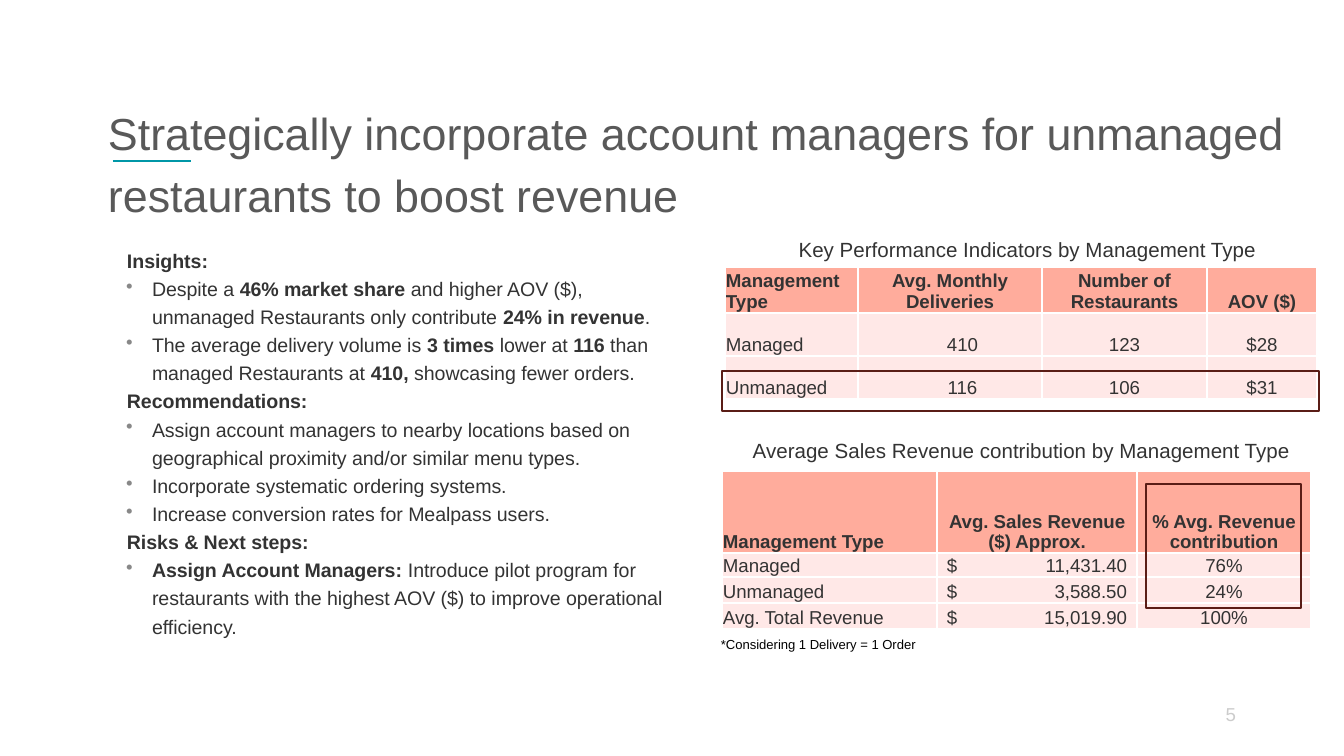
from pptx import Presentation
from pptx.dml.color import RGBColor
from pptx.enum.shapes import MSO_CONNECTOR as Connector, MSO_SHAPE as Shape
from pptx.enum.text import MSO_ANCHOR as Anchor, PP_ALIGN as Align
from pptx.oxml.ns import qn
from pptx.util import Pt
from lxml.etree import SubElement, Element

SCALE = 914400 / 134.4


def px(length):
    """Turn whole px into EMU."""
    return round(length * SCALE)


def color(value):
    """Turn a hex string into a colour."""
    return RGBColor.from_string(value)


class SlideBuilder:
    """Hold the style and the current slide, and draw each kind of element."""

    FONT = "Arial"
    INK = "333333"
    HEADER = "FFAC9C"
    BODY = "FFE8E7"
    FRAME = "5A1D16"
    BULLET = "888888"

    def __init__(self, slide):
        """Keep the slide to draw on."""
        self.slide = slide

    def add_runs(self, paragraph, text, size, ink=INK, bold=False):
        """Add runs, switching bold at each double asterisk."""
        for index, part in enumerate(text.split("**")):
            if part:
                run = paragraph.add_run()
                run.text = part
                run.font.name = self.FONT
                run.font.size = Pt(size)
                run.font.bold = bold or index % 2 == 1
                run.font.color.rgb = color(ink)

    def frame(self, box, inset_x, inset_y):
        """Add an empty wrapping text box and return its text frame."""
        frame = self.slide.shapes.add_textbox(*map(px, box)).text_frame
        frame.word_wrap = True
        frame.margin_left = frame.margin_right = px(inset_x)
        frame.margin_top = frame.margin_bottom = px(inset_y)
        return frame

    def text(self, box, text, size, ink=INK, align=Align.LEFT, anchor=Anchor.TOP,
             spacing=1.0, inset_y=7):
        """Add a one-paragraph text box."""
        frame = self.frame(box, 13, inset_y)
        frame.vertical_anchor = anchor
        paragraph = frame.paragraphs[0]
        paragraph.alignment = align
        paragraph.line_spacing = spacing
        self.add_runs(paragraph, text, size, ink)

    def outline(self, box, sections, size):
        """Add bold headings, each followed by its bulleted points."""
        frame = self.frame(box, 13, 13)
        lines = [(line, level) for heading, points in sections
                 for line, level in [(heading, 0)] + [(point, 1) for point in points]]
        for index, (line, level) in enumerate(lines):
            paragraph = frame.add_paragraph() if index else frame.paragraphs[0]
            paragraph.line_spacing = 1.2
            properties = paragraph._p.get_or_add_pPr()
            properties.set("marL", str(px(44 if level else 19)))
            properties.set("indent", str(px(-26 if level else 0)))
            if level:
                bullet_color = SubElement(properties, qn("a:buClr"))
                SubElement(bullet_color, qn("a:srgbClr"), val=self.BULLET)
                SubElement(properties, qn("a:buChar"), char="•")
            self.add_runs(paragraph, line, size, bold=not level)

    def line(self, start, end, ink, width):
        """Add a straight line."""
        line = self.slide.shapes.add_connector(
            Connector.STRAIGHT, *map(px, start + end))
        line.line.color.rgb = color(ink)
        line.line.width = Pt(width)
        SubElement(line._element.spPr, qn("a:effectLst"))

    def highlight(self, box):
        """Add an unfilled rectangle around key figures."""
        rectangle = self.slide.shapes.add_shape(Shape.RECTANGLE, *map(px, box))
        rectangle.shadow.inherit = False
        rectangle.fill.background()
        rectangle.line.color.rgb = color(self.FRAME)
        rectangle.line.width = Pt(1.25)

    def border(self, cell):
        """Give a cell thin white borders."""
        properties = cell._tc.get_or_add_tcPr()
        for index, side in enumerate(("lnL", "lnR", "lnT", "lnB")):
            edge = Element(qn(f"a:{side}"), w=str(Pt(1)))
            fill = SubElement(edge, qn("a:solidFill"))
            SubElement(fill, qn("a:srgbClr"), val="FFFFFF")
            properties.insert(index, edge)

    def table(self, corner, widths, heights, rows, second_inset):
        """Add a table with a header row and an inset second column."""
        size = (sum(widths), sum(heights))
        table = self.slide.shapes.add_table(
            len(rows), len(widths), *map(px, corner + size)).table
        for column, width in zip(table.columns, widths):
            column.width = px(width)
        for row, height in zip(table.rows, heights):
            row.height = px(height)
        for r, values in enumerate(rows):
            for c, value in enumerate(values):
                cell = table.cell(r, c)
                cell.fill.solid()
                cell.fill.fore_color.rgb = color(self.BODY if r else self.HEADER)
                self.border(cell)
                cell.vertical_anchor = Anchor.BOTTOM
                cell.margin_left = px(second_inset if r and c == 1 else 1)
                cell.margin_right = cell.margin_top = px(1)
                cell.margin_bottom = 0
                paragraph = cell.text_frame.paragraphs[0]
                paragraph.alignment = Align.CENTER if c else Align.LEFT
                if "\t" in value:
                    paragraph.alignment = Align.LEFT
                    stops = SubElement(paragraph._p.get_or_add_pPr(), qn("a:tabLst"))
                    SubElement(stops, qn("a:tab"), pos=str(px(180)), algn="r")
                self.add_runs(paragraph, value, 10, bold=r == 0)


SECTIONS = [
    ("Insights:", [
        "Despite a **46% market share** and higher AOV ($), unmanaged Restaurants "
        "only contribute **24% in revenue**.",
        "The average delivery volume is **3 times **lower at **116** than managed "
        "Restaurants at **410,** showcasing fewer orders."]),
    ("Recommendations:", [
        "Assign account managers to nearby locations based on geographical "
        "proximity and/or similar menu types.",
        "Incorporate systematic ordering systems.",
        "Increase conversion rates for Mealpass users."]),
    ("Risks & Next steps:", [
        "**Assign Account Managers:** Introduce pilot program for restaurants with "
        "the highest AOV ($) to improve operational efficiency."]),
]
INDICATORS = [
    ("Management Type", "Avg. Monthly Deliveries", "Number of Restaurants", "AOV ($)"),
    ("Managed", "410", "123", "$28"),
    ("Unmanaged", "116", "106", "$31"),
]
REVENUE = [
    ("Management Type", "Avg. Sales Revenue ($) Approx.", "% Avg. Revenue contribution"),
    ("Managed", "$\t11,431.40", "76%"),
    ("Unmanaged", "$\t3,588.50", "24%"),
    ("Avg. Total Revenue", "$\t15,019.90", "100%"),
]


def main():
    """Build and save the slide."""
    deck = Presentation()
    deck.slide_width, deck.slide_height = px(1344), px(756)
    page = SlideBuilder(deck.slides.add_slide(deck.slide_layouts[6]))

    page.text((1168, 685, 81, 58), "5", 10, "CCCCCC", Align.RIGHT, Anchor.MIDDLE,
              inset_y=13)
    page.line((113, 161), (191, 161), "0097A7", 1.5)
    page.text((95, 85, 1223, 77), "Strategically incorporate account managers for "
              "unmanaged restaurants to boost revenue", 24, "595959",
              spacing=1.15, inset_y=13)
    page.outline((95, 231, 595, 429), SECTIONS, 10.5)

    page.table((725, 267), (133, 184, 165, 110), (43, 43, 43), INDICATORS, 26)
    page.table((722, 471), (215, 200, 174), (82, 24, 26, 26), REVENUE, 10)
    page.highlight((722, 371, 597, 40))
    page.highlight((1146, 484, 155, 124))

    page.text((726, 431, 591, 39), "Average Sales Revenue contribution by "
              "Management Type", 11, align=Align.CENTER)
    page.text((708, 629, 320, 30), "*Considering 1 Delivery = 1 Order", 7, "000000")
    page.text((730, 230, 595, 39), "Key Performance Indicators by Management Type",
              11, align=Align.CENTER)
    deck.save("out.pptx")


if __name__ == "__main__":
    main()
